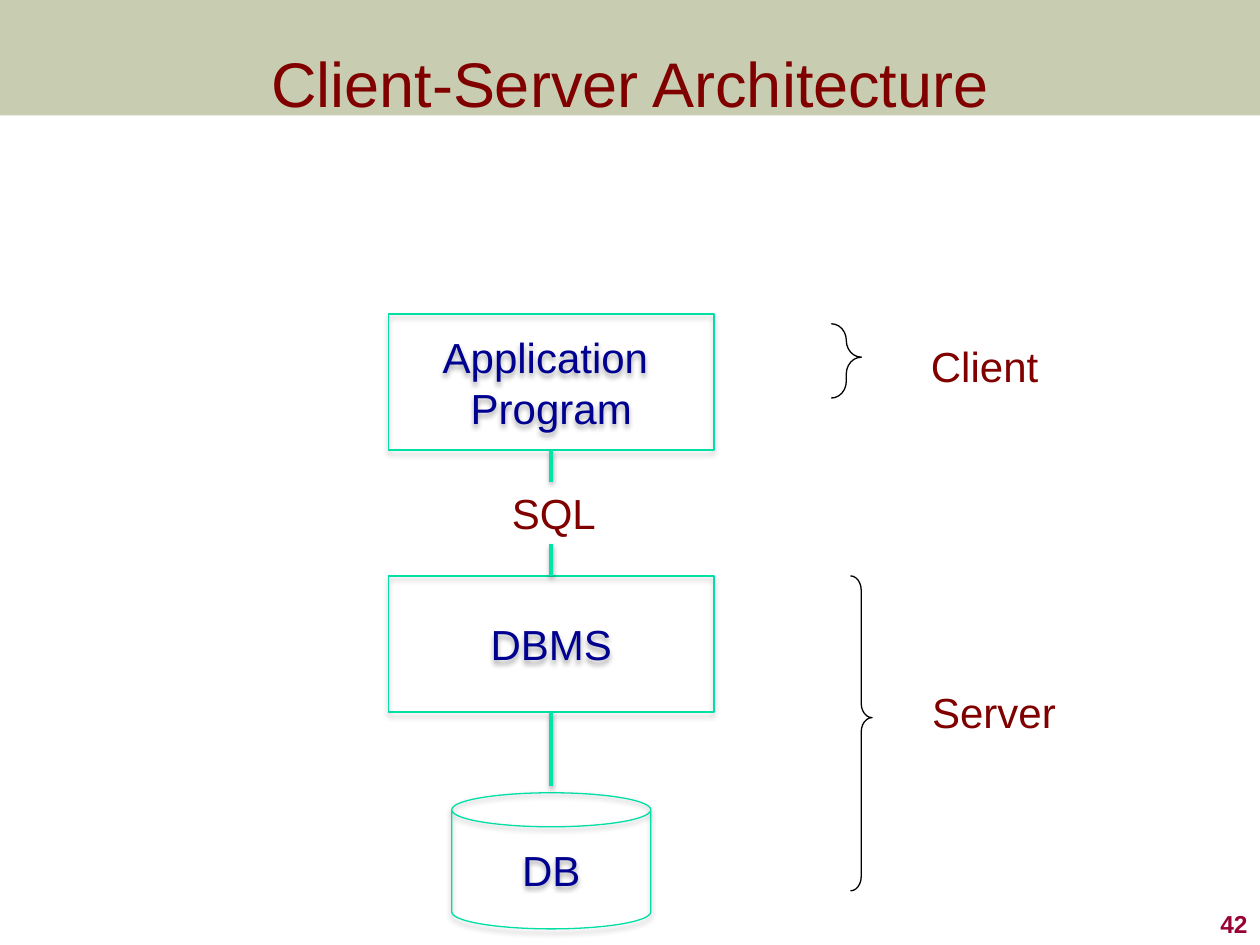
from lxml import etree
from pptx import Presentation
from pptx.dml.color import RGBColor
from pptx.enum.shapes import MSO_CONNECTOR as CONNECTOR, MSO_SHAPE as SHAPE
from pptx.enum.text import MSO_ANCHOR as ANCHOR, PP_ALIGN as ALIGN
from pptx.oxml import parse_xml
from pptx.oxml.ns import nsdecls, qn
from pptx.util import Pt

SLIDE_WIDTH, SLIDE_HEIGHT = 720, 540
MAROON, NAVY, GREEN, LINE_GREEN = "800000", "000090", "00DFA4", "00E4A8"


def color(value):
    return RGBColor.from_string(value)


def add_shadow(shape, distance, opacity):
    """Add a soft black shadow straight below; call after the line is set."""
    shape._element.spPr.append(parse_xml(
        f'<a:effectLst {nsdecls("a")}>'
        f'<a:outerShdw blurRad="{Pt(3.1)}" dist="{Pt(distance)}" dir="5400000" rotWithShape="0">'
        f'<a:srgbClr val="000000"><a:alpha val="{opacity * 1000}"/></a:srgbClr>'
        '</a:outerShdw></a:effectLst>'))


def write(shape, text, size, text_color, align, anchor, bold=False):
    frame = shape.text_frame
    frame.text = text
    frame.vertical_anchor = anchor
    for paragraph in frame.paragraphs:
        paragraph.alignment = align
        for run in paragraph.runs:
            run.font.name = "Arial"
            run.font.size = Pt(size)
            run.font.bold = bold
            run.font.color.rgb = color(text_color)


def add_header(slide, left, top, width, height):
    band = slide.shapes.add_shape(SHAPE.RECTANGLE, Pt(left), Pt(top), Pt(width), Pt(height))
    band.shadow.inherit = False
    band.line.fill.background()
    band.fill.solid()
    band.fill.fore_color.rgb = color("677228")
    fill_color = band._element.spPr.find(".//" + qn("a:srgbClr"))
    etree.SubElement(fill_color, qn("a:alpha")).set("val", "36000")

    title = slide.shapes.title
    title._element.addprevious(band._element)
    title.left, title.top, title.width, title.height = Pt(left), Pt(top + 0.7), Pt(width), Pt(92.2)
    write(title, "Client-Server Architecture", 36, MAROON, ALIGN.CENTER, ANCHOR.MIDDLE)


def add_node(slide, kind, text, left, top, width, height):
    node = slide.shapes.add_shape(kind, Pt(left), Pt(top), Pt(width), Pt(height))
    node.fill.background()
    node.line.color.rgb = color(GREEN)
    node.line.width = Pt(0.75)
    add_shadow(node, 1.8, 35)
    write(node, text, 24, NAVY, ALIGN.CENTER, ANCHOR.MIDDLE)
    return node


def add_link(slide, x, top, bottom):
    link = slide.shapes.add_connector(CONNECTOR.STRAIGHT, Pt(x), Pt(top), Pt(x), Pt(bottom))
    link.line.color.rgb = color(LINE_GREEN)
    link.line.width = Pt(2)
    add_shadow(link, 1.6, 38)
    return link


def add_label(slide, text, left, top, width):
    label = slide.shapes.add_textbox(Pt(left), Pt(top), Pt(width), Pt(36.7))
    label.text_frame.word_wrap = False
    write(label, text, 24, MAROON, ALIGN.LEFT, ANCHOR.TOP)


def add_stack(slide, left, top, width, node_height):
    """Application, DBMS and database in one column, linked from top to bottom."""
    center = left + width / 2
    dbms_top = top + 149.7
    database_top = top + 273.6
    database_width = 113.8
    program = add_node(slide, SHAPE.RECTANGLE, "Application \nProgram",
                       left, top, width, node_height)
    dbms = add_node(slide, SHAPE.RECTANGLE, "DBMS", left, dbms_top, width, node_height)
    add_node(slide, SHAPE.CAN, "DB", center - database_width / 2, database_top,
             database_width, node_height)

    stub = 18
    program_bottom = top + node_height
    add_link(slide, center, program_bottom, program_bottom + stub).begin_connect(program, 2)
    add_link(slide, center, dbms_top - stub, dbms_top).end_connect(dbms, 0)
    add_link(slide, center, dbms_top + node_height, database_top - 3.6).begin_connect(dbms, 2)
    add_label(slide, "SQL", center - 29.6, program_bottom + stub, 63.4)


def add_tier(slide, text, left, top, width, height, label_box):
    """A right brace with the tier's name beside it."""
    brace = slide.shapes.add_shape(SHAPE.RIGHT_BRACE, Pt(left), Pt(top), Pt(width), Pt(height))
    brace.adjustments[0], brace.adjustments[1] = 0.667, 0.45
    brace.shadow.inherit = False
    brace.fill.background()
    brace.line.color.rgb = color("000000")
    brace.line.width = Pt(0.75)
    add_label(slide, text, *label_box)


def add_page_number(slide, left, top, width, height):
    number = slide.shapes.add_textbox(Pt(left), Pt(top), Pt(width), Pt(height))
    number.text_frame.word_wrap = True
    write(number, "42", 14, "990033", ALIGN.RIGHT, ANCHOR.BOTTOM, bold=True)


def main():
    presentation = Presentation()
    presentation.slide_width, presentation.slide_height = Pt(SLIDE_WIDTH), Pt(SLIDE_HEIGHT)
    slide = presentation.slides.add_slide(presentation.slide_layouts[5])
    add_header(slide, 0, 0, SLIDE_WIDTH, 66)
    add_stack(slide, 222, 179.4, 186, 77.8)
    add_tier(slide, "Server", 486, 329.1, 12.3, 180, (525.6, 388.8, 86.4))
    add_tier(slide, "Client", 475, 185, 17.2, 42.5, (524.9, 190.8, 77))
    add_page_number(slide, 570, 504, 150, 36)
    presentation.save("out.pptx")


if __name__ == "__main__":
    main()
